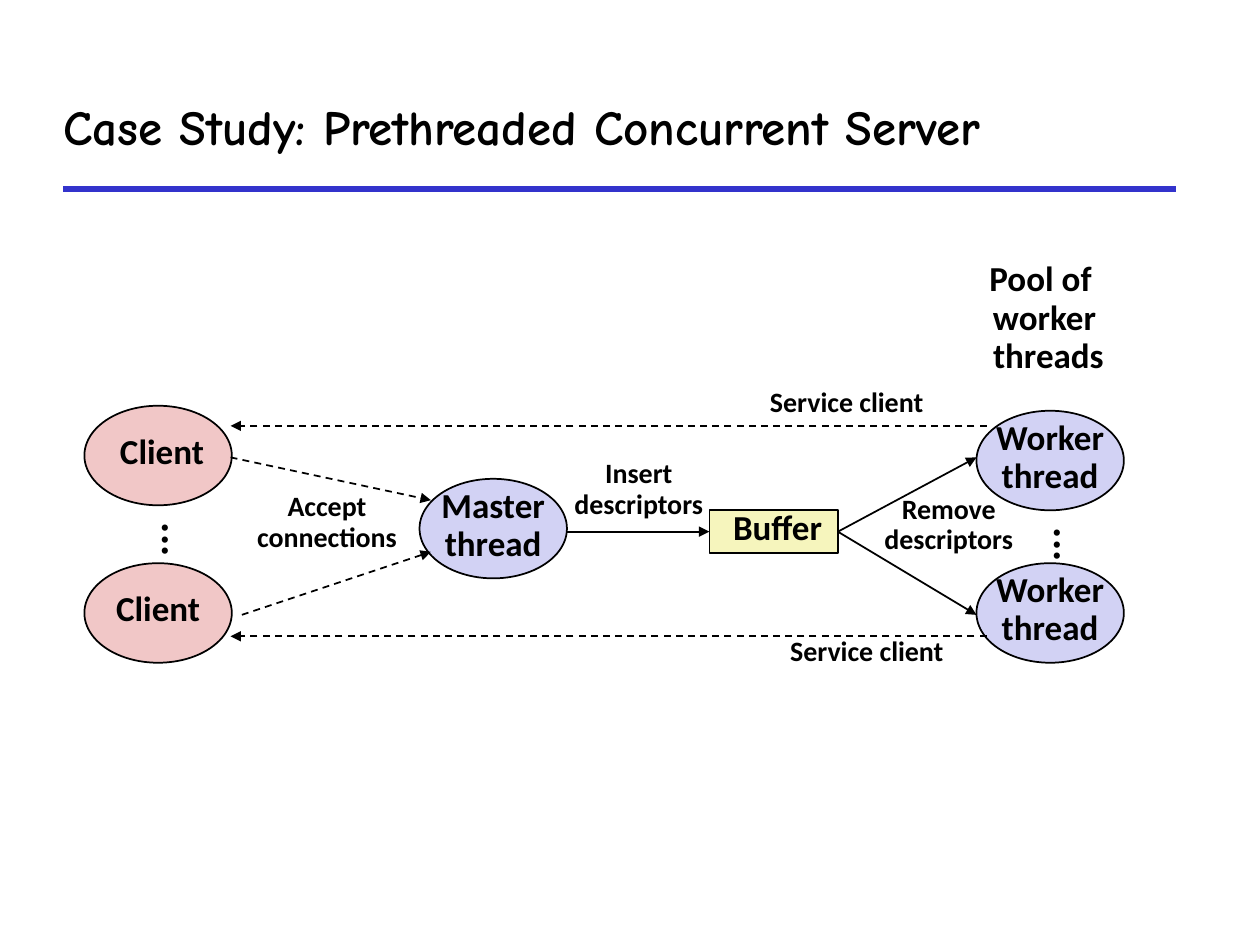
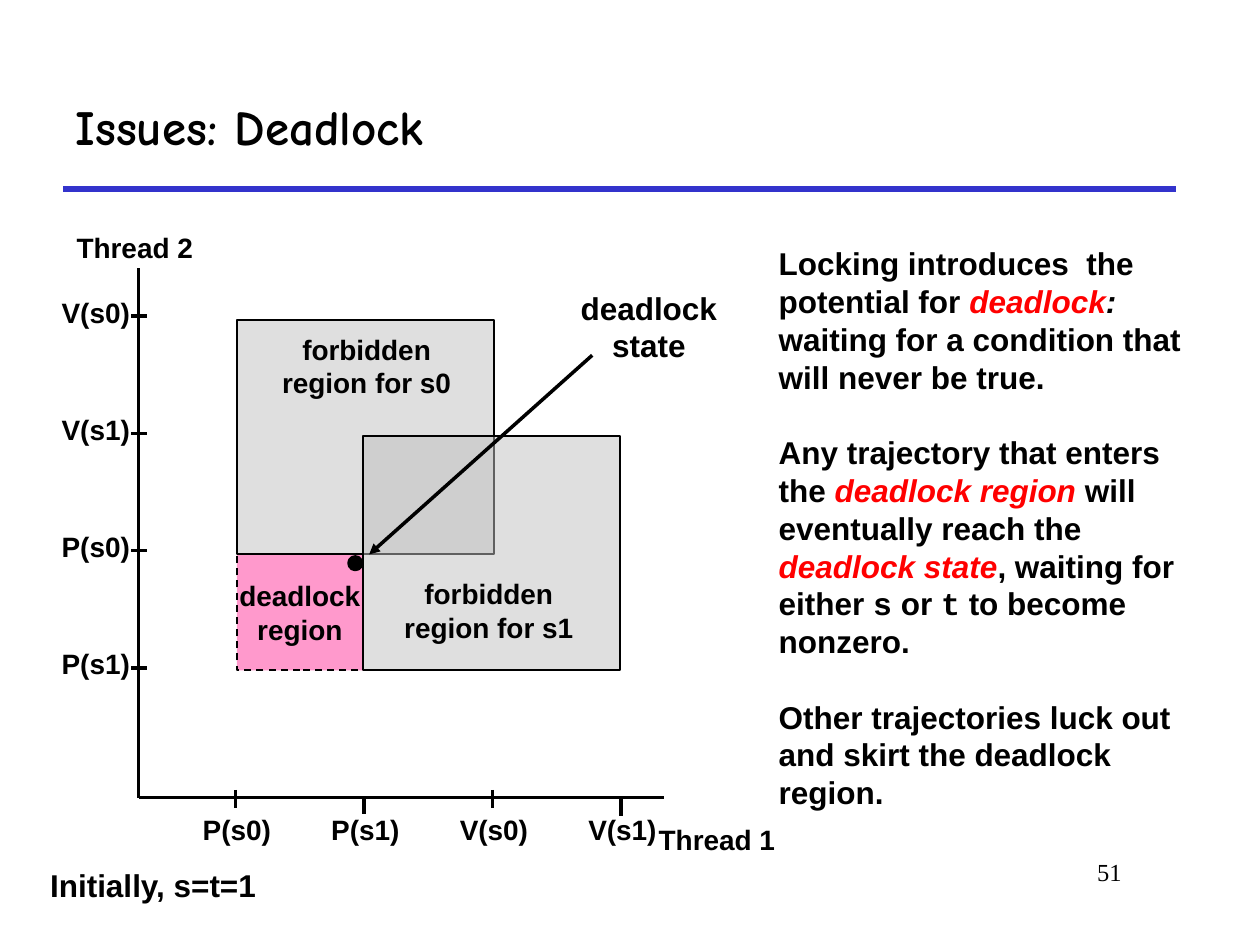
"""Builds two slides on threads: a prethreaded server and deadlock."""
from dataclasses import dataclass
from typing import Any

from lxml import etree
from pptx import Presentation
from pptx import util as u
from pptx.dml.color import RGBColor
from pptx.enum import dml, shapes, text
from pptx.oxml import ns

BLACK = RGBColor(0x00, 0x00, 0x00)
RULE_BLUE = RGBColor(0x33, 0x33, 0xCC)
THREAD_BLUE = RGBColor(0xD2, 0xD2, 0xF4)
CLIENT_PINK = RGBColor(0xF1, 0xC7, 0xC7)
BUFFER_YELLOW = RGBColor(0xF6, 0xF5, 0xBD)
DEADLOCK_PINK = RGBColor(0xFF, 0x99, 0xCC)
FORBIDDEN_GREY = RGBColor(0xC0, 0xC0, 0xC0)
EMPHASIS_RED = RGBColor(0xFF, 0x00, 0x00)

TITLE_FONT, SERVER_FONT, PLOT_FONT = "Comic Neue", "Calibri", "Arial"
CODE_FONT, NUMBER_FONT = "Courier New", "Times New Roman"
OVAL, RECT = shapes.MSO_SHAPE.OVAL, shapes.MSO_SHAPE.RECTANGLE
CENTER, LEFT, RIGHT = text.PP_ALIGN.CENTER, text.PP_ALIGN.LEFT, text.PP_ALIGN.RIGHT


def add_run(paragraph, words, size, font, color=BLACK, bold=True, italic=False):
    """Add one formatted run to a paragraph."""
    run = paragraph.add_run()
    run.text = words
    run.font.size = u.Pt(size)
    run.font.name = font
    run.font.color.rgb = color
    run.font.bold = bold
    run.font.italic = italic


def set_margins(frame, side, end):
    """Set the side margins and the top and bottom margins of a text frame."""
    frame.margin_left = frame.margin_right = u.Inches(side)
    frame.margin_top = frame.margin_bottom = u.Inches(end)


def write_lines(frame, lines, size, font, leading=None, before=0, align=CENTER, end=0.0):
    """Write unwrapped lines in the middle of a text frame."""
    frame.word_wrap = False
    frame.vertical_anchor = text.MSO_ANCHOR.MIDDLE
    set_margins(frame, 0.1, end)
    for index, words in enumerate(lines):
        paragraph = frame.add_paragraph() if index else frame.paragraphs[0]
        paragraph.alignment = align
        paragraph.space_before = u.Pt(before)
        if leading:
            paragraph.line_spacing = leading
        add_run(paragraph, words, size, font)


@dataclass
class Region:
    """An area of a slide whose parts are placed from its top left corner."""
    slide: Any
    left: float
    top: float

    def point(self, x, y):
        """Turn an offset in the region into slide lengths."""
        return u.Inches(self.left + x), u.Inches(self.top + y)

    def label(self, x, y, width, height, lines, size, font, **layout):
        """Add a text box that grows with its text and return it."""
        box = self.slide.shapes.add_textbox(
            *self.point(x, y), u.Inches(width), u.Inches(height))
        write_lines(box.text_frame, lines, size, font, **layout)
        box.text_frame.auto_size = text.MSO_AUTO_SIZE.SHAPE_TO_FIT_TEXT
        return box

    def block(self, kind, x, y, width, height, color, weight=1, dashed=False, alpha=None):
        """Add an outlined preset shape and return it."""
        block = self.slide.shapes.add_shape(
            kind, *self.point(x, y), u.Inches(width), u.Inches(height))
        block.shadow.inherit = False
        block.fill.solid()
        block.fill.fore_color.rgb = color
        block.line.color.rgb = BLACK
        block.line.width = u.Pt(weight)
        if dashed:
            block.line.dash_style = dml.MSO_LINE.DASH
        if alpha:
            fill = block._element.spPr.find(ns.qn("a:solidFill"))
            etree.SubElement(fill[0], ns.qn("a:alpha"), val=str(alpha * 1000))
        return block

    def line(self, start, end, weight=1, color=BLACK, dashed=False, arrow=False):
        """Add a straight connector, with an arrowhead at its end on request."""
        line = self.slide.shapes.add_connector(
            shapes.MSO_CONNECTOR.STRAIGHT, *self.point(*start), *self.point(*end))
        line.line.color.rgb = color
        line.line.width = u.Pt(weight)
        if dashed:
            line.line.dash_style = dml.MSO_LINE.DASH
        if arrow:
            etree.SubElement(line.line._get_or_add_ln(), ns.qn("a:tailEnd"), type="triangle")
        etree.SubElement(line._element.spPr, ns.qn("a:effectLst"))
        return line


def add_titled_slide(prs, layout, title, left, width):
    """Add a slide with the shared title style and blue rule."""
    slide = prs.slides.add_slide(prs.slide_layouts[layout])
    heading = slide.shapes.title
    heading.left, heading.top = u.Inches(left), u.Inches(0.5)
    heading.width, heading.height = u.Inches(width), u.Inches(1)
    frame = heading.text_frame
    frame.auto_size = text.MSO_AUTO_SIZE.NONE
    frame.vertical_anchor = text.MSO_ANCHOR.MIDDLE
    frame.paragraphs[0].alignment = LEFT
    add_run(frame.paragraphs[0], title, 28, TITLE_FONT)
    Region(slide, 0.5, 1.5).line((0, 0), (8.83, 0), 3, RULE_BLUE)
    return slide


def draw_server(slide, left, top):
    """Draw clients, master, buffer and workers with the flow between them."""
    server = Region(slide, left, top)
    buffer = server.block(RECT, 4.96, 1.97, 1.02, 0.34, BUFFER_YELLOW)
    write_lines(buffer.text_frame, [" Buffer"], 20, SERVER_FONT, 0.7, 5)

    for x, y, color, lines in (
            (2.66, 1.72, THREAD_BLUE, ["Master", "thread"]),
            (7.08, 1.18, THREAD_BLUE, ["Worker", "thread"]),
            (7.08, 2.39, THREAD_BLUE, ["Worker", "thread"]),
            (0, 1.14, CLIENT_PINK, [" Client"]),
            (0, 2.39, CLIENT_PINK, ["Client"])):
        oval = server.block(OVAL, x, y, 1.17, 0.79, color)
        write_lines(oval.text_frame, lines, 20, SERVER_FONT, 0.7, 5)

    server.line((3.83, 2.14), (4.96, 2.14), arrow=True).end_connect(buffer, 1)
    for worker_y in (1.55, 2.8):
        server.line((5.98, 2.14), (7.08, worker_y), arrow=True).begin_connect(buffer, 3)
    for start, end in (
            ((1.16, 1.55), (2.75, 1.89)), ((1.25, 2.8), (2.75, 2.3)),
            ((7.16, 1.3), (1.16, 1.3)), ((7.16, 2.97), (1.16, 2.97))):
        server.line(start, end, dashed=True, arrow=True)

    for x, y, width, height, lines in (
            (1.27, 1.82, 1.31, 0.53, ["Accept", "connections"]),
            (3.79, 1.56, 1.22, 0.53, ["Insert", "descriptors"]),
            (6.25, 1.84, 1.22, 0.53, ["Remove", "descriptors"]),
            (5.34, 0.99, 1.42, 0.29, ["Service client"]),
            (5.5, 2.97, 1.42, 0.29, ["Service client"])):
        server.label(x, y, width, height, lines, 16, SERVER_FONT,
                     leading=0.7, before=4, end=0.05)
    server.label(7.05, 0, 1.14, 0.94, ["Pool of ", "worker", " threads"], 20, SERVER_FONT,
                 leading=0.7, before=5, end=0.05)

    for x, y, align in ((7.54, 2.01, LEFT), (0.46, 1.97, CENTER)):
        ellipsis = server.label(x, y, 0.48, 0.37, ["..."], 24, SERVER_FONT,
                                leading=0.7, before=6, align=align)
        set_margins(ellipsis.text_frame, 0.05, 0.1)
        ellipsis.text_frame._txBody.bodyPr.set("vert", "eaVert")


def draw_axes(plot):
    """Draw both thread axes with their ticks and labels."""
    plot.line((0, 4.2), (0, 0), 2)
    plot.line((0, 4.2), (4.17, 4.2), 2)
    tick_drops = (-0.06, -0.01, -0.06, 0.01)
    for step, (name, drop) in enumerate(zip(("P(s0)", "P(s1)", "V(s0)", "V(s1)"), tick_drops)):
        x = 0.77 + 1.02 * step
        plot.line((x, 4.2 + drop), (x, 4.34 + drop), 2)
        plot.label(x - 0.36, 4.27, 0.74, 0.37, [name], 16, PLOT_FONT, before=10, end=0.05)
    for step, name in enumerate(("P(s1)", "P(s0)", "V(s1)", "V(s0)")):
        y = 3.17 - 0.93 * step
        plot.line((-0.06, y), (0.07, y), 2)
        plot.label(-0.71, y - 0.22, 0.74, 0.37, [name], 16, PLOT_FONT, before=10, end=0.05)
    for x, y, name in ((3.99, 4.35, "Thread 1"), (-0.63, -0.35, "Thread 2")):
        plot.label(x, y, 1.2, 0.37, [name], 16, PLOT_FONT, end=0.05)


def draw_progress_graph(slide, left, top):
    """Draw the progress graph with its forbidden and deadlock regions."""
    plot = Region(slide, left, top)
    trap = plot.block(RECT, 0.78, 2.27, 1, 0.92, DEADLOCK_PINK, dashed=True)
    write_lines(trap.text_frame, ["deadlock", "region"], 16, PLOT_FONT)
    draw_axes(plot)
    for x, y in ((0.78, 0.41), (1.78, 1.33)):
        plot.block(RECT, x, y, 2.04, 1.86, FORBIDDEN_GREY, alpha=50)
    for x, y, lock in ((1.04, 0.51, "s0"), (2.01, 2.45, "s1")):
        plot.label(x, y, 1.54, 0.53, ["forbidden", f"region for {lock}"], 16, PLOT_FONT)
    plot.block(OVAL, 1.67, 2.29, 0.1, 0.1, BLACK, weight=2)
    plot.label(3.36, 0.16, 1.38, 0.6, ["deadlock", "state"], 18, PLOT_FONT)
    plot.line((3.6, 0.69), (1.83, 2.27), 2, arrow=True)
    plot.label(-0.81, 4.74, 1.85, 0.3, ["Initially, s=t=1"], 18, PLOT_FONT)


def write_commentary(body, left, top, width, height):
    """Fill the body placeholder with the remarks on deadlock."""
    plain = {"font": PLOT_FONT}
    slanted = {"font": PLOT_FONT, "italic": True}
    key = {**slanted, "color": EMPHASIS_RED}
    code = {"font": CODE_FONT}
    remarks = (
        (("Locking introduces  the potential for ", plain), ("deadlock", key), (":", slanted),
         (" waiting for a condition that will never be true.", plain)),
        (("Any trajectory that enters the ", plain), ("deadlock region ", key),
         ("will eventually reach the ", plain), ("deadlock state", key),
         (", waiting for either ", plain), ("s", code), (" or ", plain), ("t", code),
         (" to become nonzero.", plain)),
        (("Other trajectories luck out and skirt the deadlock region.", plain),))
    body.left, body.top = u.Inches(left), u.Inches(top)
    body.width, body.height = u.Inches(width), u.Inches(height)
    frame = body.text_frame
    frame.auto_size = text.MSO_AUTO_SIZE.NONE
    frame.word_wrap = True
    set_margins(frame, 0.1, 0)
    for index, remark in enumerate(remarks):
        paragraph = frame.add_paragraph() if index else frame.paragraphs[0]
        paragraph.space_before = u.Pt(21.5 if index else 0)
        properties = paragraph._p.get_or_add_pPr()
        properties.set("marL", "0")
        properties.set("indent", "0")
        etree.SubElement(properties, ns.qn("a:buNone"))
        for words, style in remark:
            add_run(paragraph, words, 18, **style)


def add_page_number(slide, number, left, top):
    """Write the page number at the right of its box."""
    box = slide.shapes.add_textbox(
        u.Inches(left), u.Inches(top), u.Inches(1.42), u.Inches(0.5))
    box.text_frame.word_wrap = True
    box.text_frame.paragraphs[0].alignment = RIGHT
    add_run(box.text_frame.paragraphs[0], number, 14, NUMBER_FONT, bold=False)


def main():
    """Build and save the presentation."""
    prs = Presentation()
    prs.slide_width, prs.slide_height = u.Inches(10), u.Inches(7.5)

    server_slide = add_titled_slide(
        prs, 5, "Case Study: Prethreaded Concurrent Server", 0.4, 9.36)
    draw_server(server_slide, 0.67, 2.08)

    deadlock_slide = add_titled_slide(prs, 1, "Issues: Deadlock", 0.5, 8.83)
    draw_progress_graph(deadlock_slide, 1.1, 2.13)
    write_commentary(deadlock_slide.placeholders[1], 6.08, 1.94, 3.59, 4.8)
    add_page_number(deadlock_slide, "51", 7.58, 6.75)

    prs.save("out.pptx")


if __name__ == "__main__":
    main()
